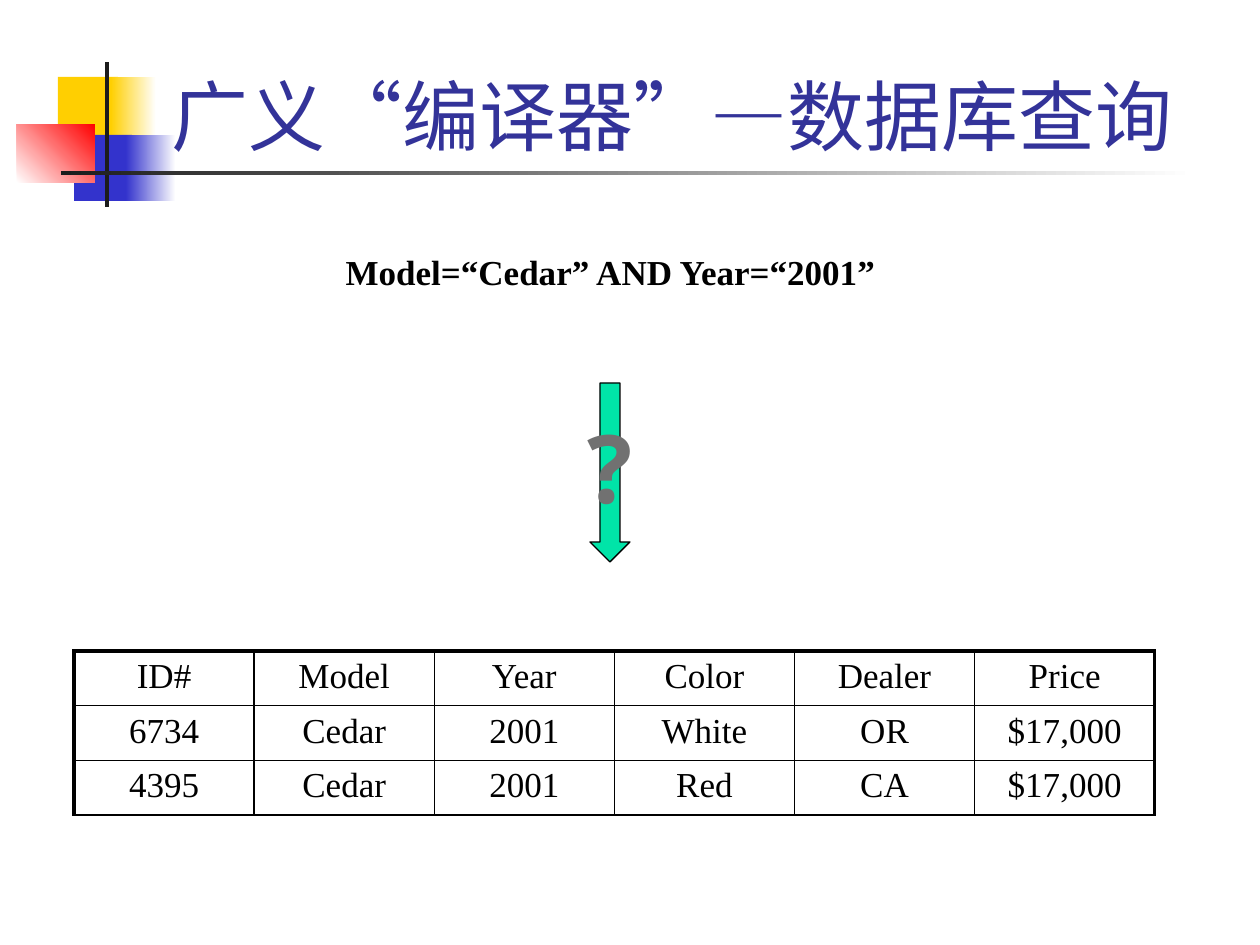
from dataclasses import dataclass
from lxml import etree
from pptx import Presentation
from pptx import util as u
from pptx.dml.color import RGBColor
from pptx.enum import lang, shapes, text
from pptx.oxml import ns

SCALE = u.Inches(1) / 126


@dataclass(frozen=True)
class Theme:
    ink: str = "000000"
    paper: str = "FFFFFF"
    title: str = "333399"
    yellow: str = "FFCF01"
    blue: str = "3333CC"
    red: str = "FF0000"
    bar: str = "1C1C1C"
    arrow: str = "00E4A8"
    question: str = "717171"
    serif: str = "Times New Roman"
    sans: str = "Open Sans"
    title_size: int = 44
    body_size: int = 20
    question_size: int = 54
    space_before: int = 4
    inner_line: float = 1
    outer_line: float = 2.25


THEME = Theme()


def px(value):
    return u.Emu(round(value * SCALE))


def place(part, box):
    part.left, part.top, part.width, part.height = map(px, box)


def add_run(paragraph, words, size, color=THEME.ink, face=THEME.serif, bold=False):
    run = paragraph.add_run()
    run.text = words
    font = run.font
    font.size, font.name, font.bold = u.Pt(size), face, bold
    font.color.rgb = RGBColor.from_string(color)
    return run


def add_block(slide, kind, box, colors, angle=0):
    block = slide.shapes.add_shape(kind, *map(px, box))
    block.shadow.inherit = False
    block.line.fill.background()
    if len(colors) == 1:
        block.fill.solid()
        block.fill.fore_color.rgb = RGBColor.from_string(colors[0])
    else:
        block.fill.gradient()
        block.fill.gradient_angle = angle
        for stop, color, position in zip(block.fill.gradient_stops, colors, (0, 1)):
            stop.color.rgb = RGBColor.from_string(color)
            stop.position = position
    return block


def draw_emblem(slide, box):
    left, top, width, height = box
    t = THEME
    parts = [
        ((41, 15, 60, 66), (t.yellow,), 0),
        ((94, 15, 45, 66), (t.yellow, t.paper), 0),
        ((57, 73, 58, 66), (t.blue,), 0),
        ((109, 73, 50, 66), (t.blue, t.paper), 0),
        ((0, 62, 78, 59), (t.paper, t.red), 45),
        ((88, 0, 4, height), (t.bar,), 0),
        ((44, 109, width - 44, 4), (t.bar, t.paper), 0),
    ]
    for (x, y, w, h), colors, angle in parts:
        add_block(slide, shapes.MSO_SHAPE.RECTANGLE, (left + x, top + y, w, h), colors, angle)


def fill_placeholder(slide, holder, box, anchor):
    slide.shapes._spTree.append(holder._element)
    place(holder, box)
    frame = holder.text_frame
    frame.auto_size = text.MSO_AUTO_SIZE.NONE
    frame.word_wrap = True
    frame.vertical_anchor = anchor
    paragraph = frame.paragraphs[0]
    paragraph.alignment = text.PP_ALIGN.LEFT
    return paragraph


def write_title(slide, box):
    paragraph = fill_placeholder(slide, slide.shapes.title, box, text.MSO_ANCHOR.BOTTOM)
    run = add_run(paragraph, "广义“编译器”—数据库查询", THEME.title_size, THEME.title)
    run.font.language_id = lang.MSO_LANGUAGE_ID.SIMPLIFIED_CHINESE


def write_query(slide, box):
    paragraph = fill_placeholder(slide, slide.placeholders[1], box, text.MSO_ANCHOR.TOP)
    paragraph.space_before = u.Pt(THEME.space_before)
    properties = paragraph._p.get_or_add_pPr()
    properties.set("marL", "0")
    properties.set("indent", "0")
    etree.SubElement(properties, ns.qn("a:buNone"))
    add_run(paragraph, "Model=“Cedar” AND Year=“2001”", THEME.body_size, bold=True)


def draw_arrow(slide, box):
    left, top, width, height = box
    arrow = add_block(slide, shapes.MSO_SHAPE.DOWN_ARROW, box, (THEME.arrow,))
    arrow.line.color.rgb = RGBColor.from_string(THEME.ink)
    arrow.line.width = u.Pt(0.75)
    question = slide.shapes.add_textbox(*map(px, (left - 19, top + 20, width + 39, height - 52)))
    frame = question.text_frame
    frame.word_wrap = False
    frame.auto_size = text.MSO_AUTO_SIZE.SHAPE_TO_FIT_TEXT
    paragraph = frame.paragraphs[0]
    paragraph.alignment = text.PP_ALIGN.CENTER
    add_run(paragraph, "?", THEME.question_size, THEME.question, THEME.sans, True)


def set_border(cell, side, points):
    properties = cell._tc.get_or_add_tcPr()
    line = etree.SubElement(properties, ns.qn("a:ln" + side), w=str(u.Pt(points)))
    fill = etree.SubElement(line, ns.qn("a:solidFill"))
    etree.SubElement(fill, ns.qn("a:srgbClr"), val=THEME.ink)


def draw_cars(slide, box, records):
    rows, columns = len(records), len(records[0])
    cars = slide.shapes.add_table(rows, columns, *map(px, box)).table
    cars.first_row = cars.horz_banding = False
    for column in cars.columns:
        column.width = px(box[2] / columns)
    for row in cars.rows:
        row.height = px(box[3] / rows)
    for r, record in enumerate(records):
        for c, value in enumerate(record):
            cell = cars.cell(r, c)
            outer = {"L": c == 0, "R": c == columns - 1, "T": r == 0, "B": False}
            for side, thick in outer.items():
                set_border(cell, side, THEME.outer_line if thick else THEME.inner_line)
            cell.fill.background()
            paragraph = cell.text_frame.paragraphs[0]
            paragraph.alignment = text.PP_ALIGN.CENTER
            paragraph.space_before = u.Pt(THEME.space_before)
            add_run(paragraph, value, THEME.body_size)


def build_query_slide(deck):
    slide = deck.slides.add_slide(deck.slide_layouts[1])
    draw_emblem(slide, (17, 62, 1178, 145))
    write_title(slide, (159, 10, 1074, 157))
    write_query(slide, (333, 244, 556, 69))
    draw_arrow(slide, (590, 383, 40, 179))
    draw_cars(slide, (74, 651, 1081, 164), [
        ("ID#", "Model", "Year", "Color", "Dealer", "Price"),
        ("6734", "Cedar", "2001", "White", "OR", "$17,000"),
        ("4395", "Cedar", "2001", "Red", "CA", "$17,000"),
    ])


deck = Presentation()
deck.slide_width, deck.slide_height = px(1260), px(945)
build_query_slide(deck)
deck.save("out.pptx")
